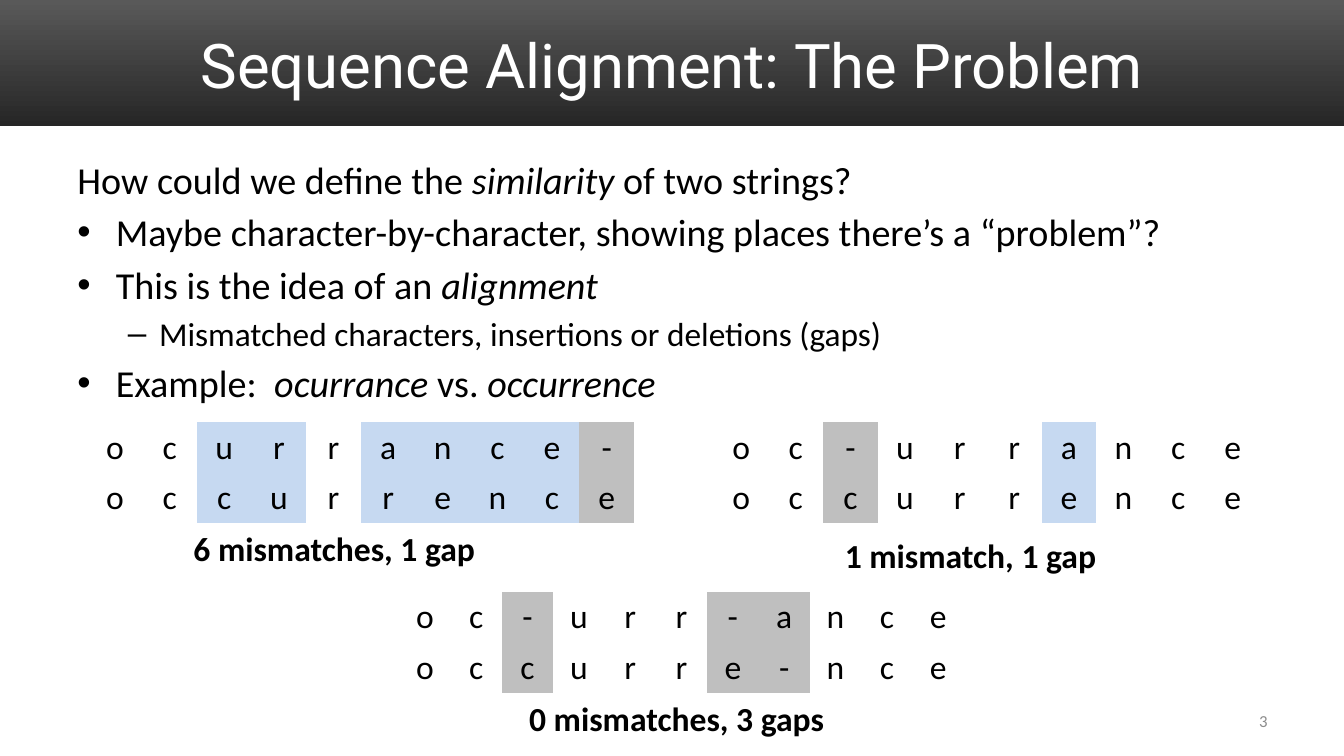
import pptx
import pptx.util
import pptx.dml.color
import pptx.enum.shapes
import pptx.enum.text
import pptx.oxml.ns
import lxml.etree

Inches = pptx.util.Inches
Pt = pptx.util.Pt
ALIGN = pptx.enum.text.PP_ALIGN
ANCHOR = pptx.enum.text.MSO_ANCHOR
NO_STYLE_NO_GRID = "{2D5ABB26-0587-4C30-8999-92F81FD0307C}"
MISMATCH = "C6D9F1"
GAP = "BFBFBF"


def rgb(color):
    return pptx.dml.color.RGBColor.from_string(color)


def add_run(p, text, size, color="000000", font="Calibri", bold=False, italic=False):
    r = p.add_run()
    r.text = text
    r.font.size = Pt(size)
    r.font.name = font
    r.font.bold = bold
    r.font.italic = italic
    r.font.color.rgb = rgb(color)


def add_box(s, left, top, width, height, anchor=ANCHOR.TOP, wrap=True):
    sp = s.shapes.add_textbox(Inches(left), Inches(top), Inches(width), Inches(height))
    tf = sp.text_frame
    tf.word_wrap = wrap
    tf.vertical_anchor = anchor
    return tf


def add_header(s, title):
    sp = s.shapes.add_shape(pptx.enum.shapes.MSO_SHAPE.RECTANGLE, 0, 0, Inches(13.33), Inches(1.25))
    sp.shadow.inherit = False
    sp.line.fill.background()
    sp.fill.gradient()
    sp.fill.gradient_angle = 270
    for stop, position, color in zip(sp.fill.gradient_stops, (0, 1), ("595959", "262626")):
        stop.position = position
        stop.color.rgb = rgb(color)
    p = add_box(s, 0.67, 0.17, 12, 0.92, ANCHOR.MIDDLE).paragraphs[0]
    p.alignment = ALIGN.CENTER
    add_run(p, title, 44, "FFFFFF", "Roboto")


def set_bullet(p, char, margin, hanging):
    pPr = p._p.get_or_add_pPr()
    pPr.set("marL", str(Inches(margin)))
    pPr.set("indent", str(-Inches(hanging)))
    font = lxml.etree.SubElement(pPr, pptx.oxml.ns.qn("a:buFont"))
    font.set("typeface", "Arial")
    bullet = lxml.etree.SubElement(pPr, pptx.oxml.ns.qn("a:buChar"))
    bullet.set("char", char)


def add_body(s, lines):
    tf = add_box(s, 0.67, 1.5, 11.58, 2.63)
    for i, (bullet, texts) in enumerate(lines):
        p = tf.paragraphs[0] if i == 0 else tf.add_paragraph()
        size = 23.8 if bullet == "–" else 27.2
        p.space_before = Pt(0 if i == 0 else size * 0.18)
        if bullet == "•":
            set_bullet(p, bullet, 0.38, 0.38)
        elif bullet == "–":
            p.level = 1
            set_bullet(p, bullet, 0.81, 0.31)
        for j, text in enumerate(texts):
            add_run(p, text, size, italic=j % 2 == 1)


def add_alignment(s, left, top, width, first, second):
    frame = s.shapes.add_table(2, len(first), Inches(left), Inches(top), Inches(width), Inches(1))
    table = frame.table
    table.first_row = table.horz_banding = False
    table._tbl.tblPr.find(pptx.oxml.ns.qn("a:tableStyleId")).text = NO_STYLE_NO_GRID
    for col, pair in enumerate(zip(first, second)):
        for row, letter in enumerate(pair):
            cell = table.cell(row, col)
            if pair[0] == pair[1]:
                cell.fill.background()
            else:
                cell.fill.solid()
                cell.fill.fore_color.rgb = rgb(GAP if "-" in pair else MISMATCH)
            p = cell.text_frame.paragraphs[0]
            p.alignment = ALIGN.CENTER
            add_run(p, letter, 24)


def add_caption(s, left, top, width, text):
    tf = add_box(s, left, top, width, 0.5, wrap=False)
    add_run(tf.paragraphs[0], text, 24, bold=True)


def add_page_number(s, number):
    p = add_box(s, 9.56, 6.95, 3.11, 0.4, ANCHOR.MIDDLE).paragraphs[0]
    p.alignment = ALIGN.RIGHT
    add_run(p, number, 12, "8C8C8C")


def main():
    prs = pptx.Presentation()
    prs.slide_width = Inches(13.33)
    prs.slide_height = Inches(7.5)
    s = prs.slides.add_slide(prs.slide_layouts[6])

    add_header(s, "Sequence Alignment: The Problem")
    add_body(s, [
        ("", ["How could we define the ", "similarity", " of two strings?"]),
        ("•", ["Maybe character-by-character, showing places there’s a “problem”?"]),
        ("•", ["This is the idea of an ", "alignment"]),
        ("–", ["Mismatched characters, insertions or deletions (gaps)"]),
        ("•", ["Example:  ", "ocurrance", " vs. ", "occurrence"]),
    ])
    add_alignment(s, 0.87, 4.19, 5.42, "ocurrance-", "occurrence")
    add_caption(s, 1.82, 5.19, 3.02, "6 mismatches, 1 gap")
    add_alignment(s, 7.08, 4.19, 5.42, "oc-urrance", "occurrence")
    add_caption(s, 8.28, 5.26, 2.72, "1 mismatch, 1 gap")
    add_alignment(s, 3.96, 5.87, 5.6, "oc-urr-ance", "occurre-nce")
    add_caption(s, 5.15, 6.87, 3.16, "0 mismatches, 3 gaps")
    add_page_number(s, "3")

    prs.save("out.pptx")


if __name__ == "__main__":
    main()
